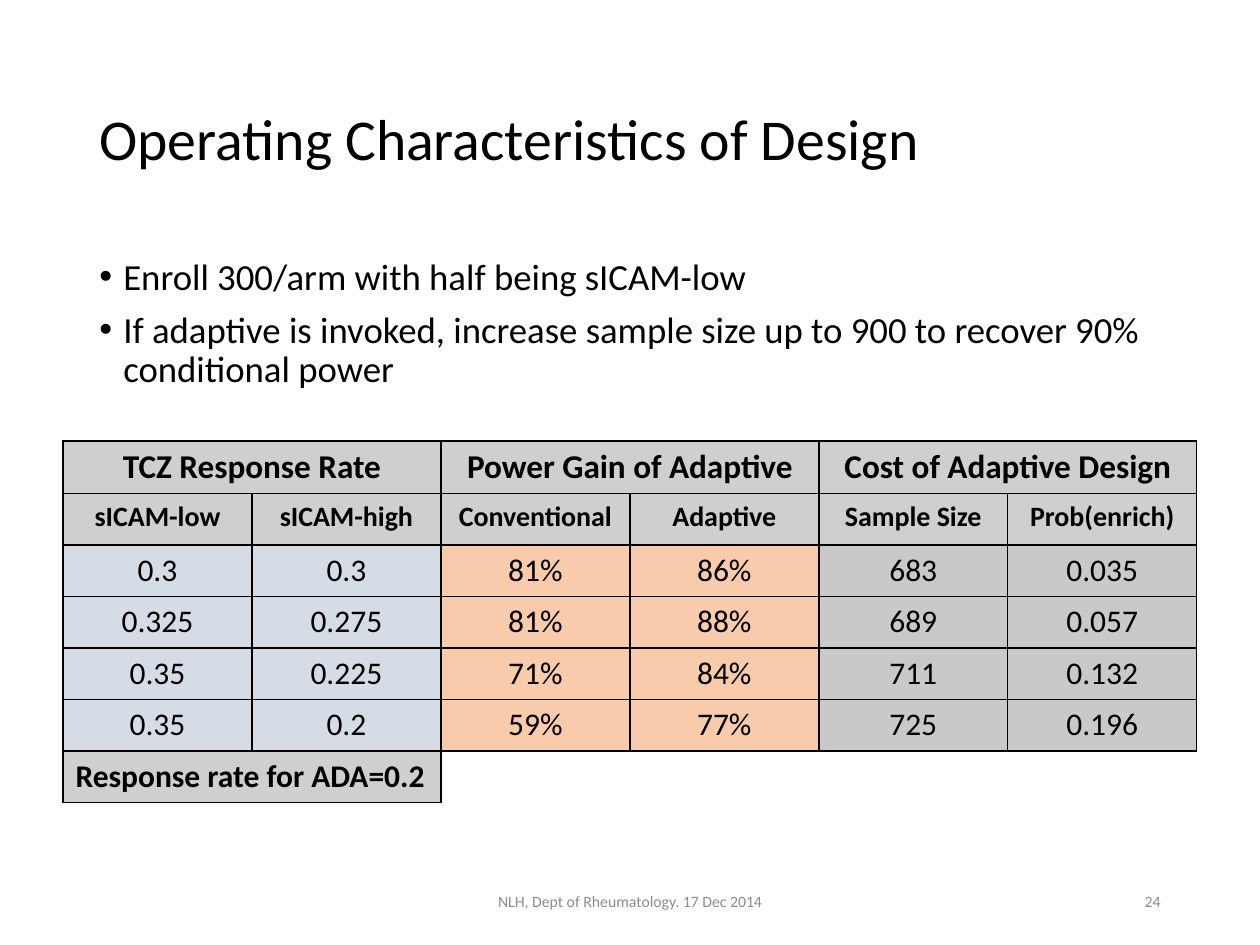
from dataclasses import dataclass

from lxml import etree
from pptx import Presentation
from pptx import util as u
from pptx.dml.color import RGBColor
from pptx.enum import text
from pptx.oxml import ns


@dataclass(frozen=True)
class Theme:
    font: str = "Calibri"
    ink: str = "000000"
    muted: str = "8C8C8C"
    header: str = "D0CECE"
    bands: tuple = ("D6DCE5", "F8CBAD", "C9C9C9")
    title_size: int = 33
    bullet_size: int = 21
    group_size: int = 19
    column_size: int = 16
    value_size: int = 18
    footer_size: int = 9


THEME = Theme()
WIDTH, HEIGHT = u.Inches(10), u.Inches(7.5)
LEFT, CENTER, RIGHT = text.PP_ALIGN.LEFT, text.PP_ALIGN.CENTER, text.PP_ALIGN.RIGHT
MARGIN = 0.069
CONTENT = 1 - 2 * MARGIN
FOOTER_TOP, FOOTER_HEIGHT = 0.927, 0.053
COLUMN, ROW = 0.15, 0.0545

BULLETS = [
    "Enroll 300/arm with half being sICAM-low",
    "If adaptive is invoked, increase sample size up to 900 to recover 90% conditional power",
]
GROUPS = ["TCZ Response Rate", "Power Gain of Adaptive", "Cost of Adaptive Design"]
COLUMNS = ["sICAM-low", "sICAM-high", "Conventional", "Adaptive", "Sample Size", "Prob(enrich)"]
VALUES = [
    ["0.3", "0.3", "81%", "86%", "683", "0.035"],
    ["0.325", "0.275", "81%", "88%", "689", "0.057"],
    ["0.35", "0.225", "71%", "84%", "711", "0.132"],
    ["0.35", "0.2", "59%", "77%", "725", "0.196"],
]
NOTE = "Response rate for ADA=0.2"


def box(left, top, width, height):
    return [int(share * side) for share, side in
            zip((left, top, width, height), (WIDTH, HEIGHT, WIDTH, HEIGHT))]


def style(paragraph, size, color=THEME.ink, bold=False, align=LEFT):
    paragraph.alignment = align
    font = paragraph.font
    font.name, font.size, font.bold = THEME.font, u.Pt(size), bold
    font.color.rgb = RGBColor.from_string(color)


def add_text(slide, area, lines, size, color=THEME.ink, align=LEFT,
             anchor=text.MSO_ANCHOR.MIDDLE, spacing=1.0):
    frame = slide.shapes.add_textbox(*box(*area)).text_frame
    frame.word_wrap = True
    frame.vertical_anchor = anchor
    frame.text = "\n".join(lines)
    for paragraph in frame.paragraphs:
        style(paragraph, size, color, align=align)
        paragraph.line_spacing = spacing
    return frame


def add_bullets(frame):
    indent = u.Inches(0.19)
    for paragraph in frame.paragraphs:
        paragraph.space_before = u.Pt(7.5)
        properties = paragraph._p.get_or_add_pPr()
        properties.set("marL", str(indent))
        properties.set("indent", str(-indent))
        bullet_font = etree.Element(ns.qn("a:buFont"), typeface="Arial")
        bullet = etree.Element(ns.qn("a:buChar"), char="•")
        defaults = properties.find(ns.qn("a:defRPr"))
        for element in (bullet_font, bullet):
            if defaults is None:
                properties.append(element)
            else:
                defaults.addprevious(element)


def set_borders(cell, visible):
    properties = cell._tc.get_or_add_tcPr()
    for side in "LRTB":
        line = etree.SubElement(properties, ns.qn(f"a:ln{side}"), w=str(u.Pt(1)))
        if side in visible:
            fill = etree.SubElement(line, ns.qn("a:solidFill"))
            etree.SubElement(fill, ns.qn("a:srgbClr"), val=THEME.ink)
        else:
            etree.SubElement(line, ns.qn("a:noFill"))


def fill_cell(cell, words, size, fill, bold=False, align=CENTER):
    cell.text = words
    style(cell.text_frame.paragraphs[0], size, bold=bold, align=align)
    set_borders(cell, "LRTB")
    cell.fill.solid()
    cell.fill.fore_color.rgb = RGBColor.from_string(fill)


def fill_pair(table, row, column, words, size, align=CENTER):
    first, second = table.cell(row, column), table.cell(row, column + 1)
    first.merge(second)
    fill_cell(first, words, size, THEME.header, True, align)
    set_borders(second, "RTB")


def add_results(slide):
    rows, columns = len(VALUES) + 3, len(COLUMNS)
    area = box(0.05, 0.4667, columns * COLUMN, rows * ROW)
    table = slide.shapes.add_table(rows, columns, *area).table
    table.first_row = table.horz_banding = False

    for index, words in enumerate(GROUPS):
        fill_pair(table, 0, 2 * index, words, THEME.group_size)
    for column, words in enumerate(COLUMNS):
        fill_cell(table.cell(1, column), words, THEME.column_size, THEME.header, True)
    for row, values in enumerate(VALUES, 2):
        for column, words in enumerate(values):
            fill_cell(table.cell(row, column), words, THEME.value_size, THEME.bands[column // 2])

    last = rows - 1
    fill_pair(table, last, 0, NOTE, THEME.value_size, LEFT)
    for column in range(2, columns):
        cell = table.cell(last, column)
        set_borders(cell, "LT" if column == 2 else "T")
        cell.fill.background()


def main():
    presentation = Presentation()
    presentation.slide_width, presentation.slide_height = WIDTH, HEIGHT
    slide = presentation.slides.add_slide(presentation.slide_layouts[6])

    add_text(slide, (MARGIN, 0.053, CONTENT, 0.193), ["Operating Characteristics of Design"],
             THEME.title_size, spacing=0.9)
    add_bullets(add_text(slide, (MARGIN, 0.267, CONTENT, 0.635), BULLETS, THEME.bullet_size,
                         anchor=text.MSO_ANCHOR.TOP, spacing=0.9))
    add_text(slide, (0.331, FOOTER_TOP, 0.338, FOOTER_HEIGHT),
             ["NLH, Dept of Rheumatology. 17 Dec 2014"], THEME.footer_size, THEME.muted, CENTER)
    add_text(slide, (0.706, FOOTER_TOP, 0.225, FOOTER_HEIGHT), ["24"],
             THEME.footer_size, THEME.muted, RIGHT)
    add_results(slide)
    presentation.save("out.pptx")


if __name__ == "__main__":
    main()
